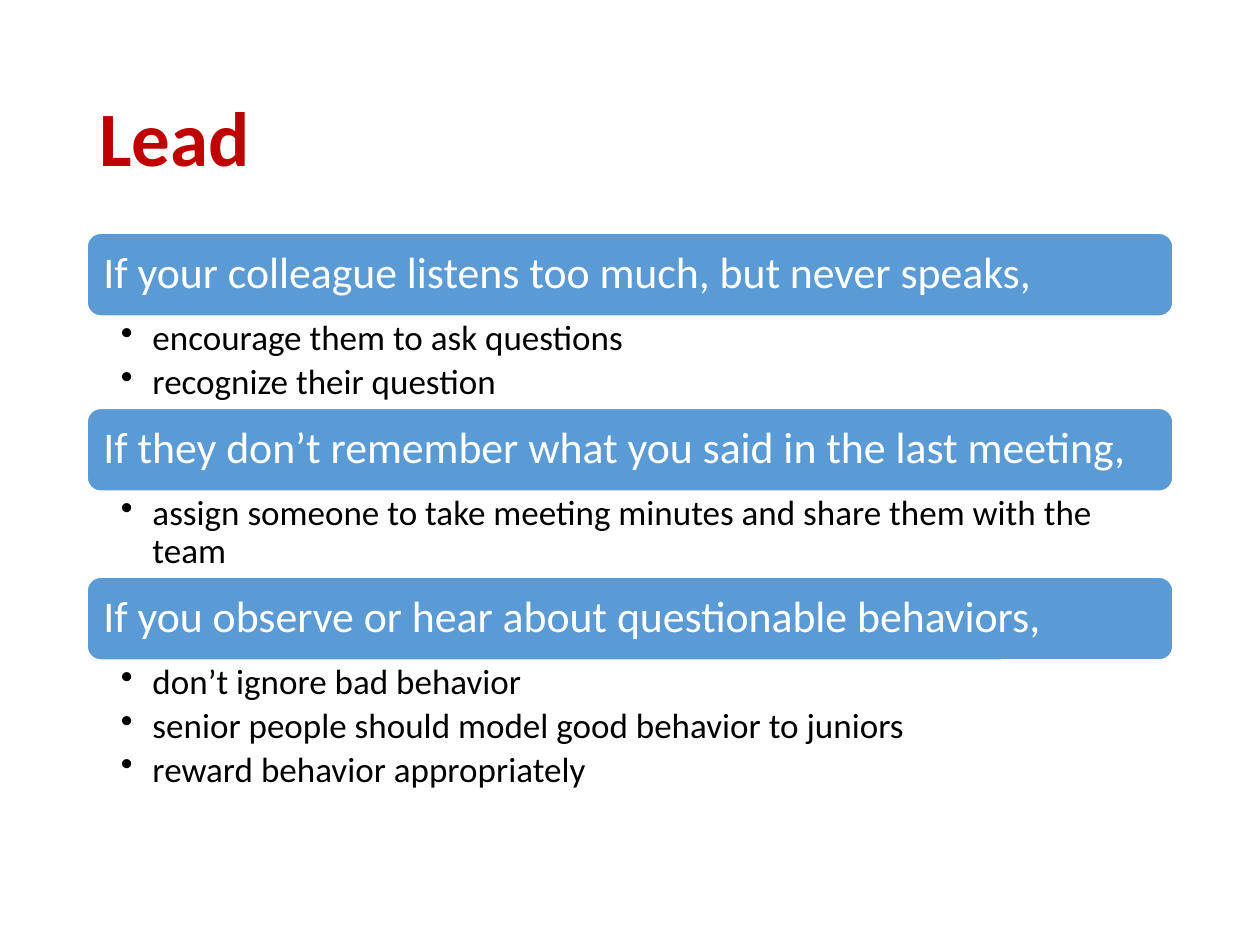
from dataclasses import dataclass

from lxml import etree
from pptx import Presentation
from pptx import util as u
from pptx.dml.color import RGBColor
from pptx.enum import shapes, text
from pptx.oxml import ns

PX = 9144  # EMU per px, 100 px to the inch
RED = RGBColor(0xC0, 0x00, 0x00)
BLUE = RGBColor(0x5B, 0x9B, 0xD5)
WHITE = RGBColor(0xFF, 0xFF, 0xFF)
BLACK = RGBColor(0x00, 0x00, 0x00)

LEFT, WIDTH = 69, 862
TOP, BAR = 185, 66


@dataclass
class Topic:
    head: str
    points: list[str]
    height: int  # of the list below the bar


TOPICS = [
    Topic("If your colleague listens too much, but never speaks,",
          ["encourage them to ask questions", "recognize their question"], 73),
    Topic("If they don’t remember what you said in the last meeting,",
          ["assign someone to take meeting minutes and share them with the team"], 68),
    Topic("If you observe or hear about questionable behaviors,",
          ["don’t ignore bad behavior",
           "senior people should model good behavior to juniors",
           "reward behavior appropriately"], 113),
]


def px(n: int) -> u.Emu:
    return u.Emu(n * PX)


def box(slide, top: int, height: int):
    return slide.shapes.add_textbox(px(LEFT), px(top), px(WIDTH), px(height))


def write(shape, lines: list[str], *, size: int, color: RGBColor, bold: bool = False,
          anchor=text.MSO_ANCHOR.MIDDLE, pad=(10, 5, 10, 5),
          after: float = 0, bullet: bool = False) -> None:
    """Fill a shape with one paragraph per line; pad is left, top, right, bottom."""
    frame = shape.text_frame
    frame.word_wrap = True
    frame.auto_size = text.MSO_AUTO_SIZE.NONE
    frame.vertical_anchor = anchor
    frame.margin_left, frame.margin_top, frame.margin_right, frame.margin_bottom = map(px, pad)
    for i, line in enumerate(lines):
        para = frame.add_paragraph() if i else frame.paragraphs[0]
        para.alignment = text.PP_ALIGN.LEFT
        para.line_spacing = 0.9
        para.space_after = u.Pt(after)
        run = para.add_run()
        run.text = line
        font = run.font
        font.name, font.size, font.bold = "Calibri", u.Pt(size), bold
        font.color.rgb = color
        if bullet:
            para.level = 1
            props = para._p.get_or_add_pPr()
            props.set("marL", str(px(25)))
            props.set("indent", str(px(-25)))
            etree.SubElement(props, ns.qn("a:buChar"), char="•")


def draw(slide, topic: Topic, top: int) -> None:
    # Heading bar
    bar = slide.shapes.add_shape(shapes.MSO_SHAPE.ROUNDED_RECTANGLE,
                                 px(LEFT), px(top), px(WIDTH), px(BAR))
    bar.shadow.inherit = False
    bar.fill.solid()
    bar.fill.fore_color.rgb = BLUE
    bar.line.color.rgb = WHITE
    bar.line.width = u.Pt(1)
    write(bar, [topic.head], size=25, color=WHITE)
    # Advice below it
    write(box(slide, top + BAR, topic.height), topic.points, size=20, color=BLACK,
          anchor=text.MSO_ANCHOR.TOP, pad=(27, 3, 16, 3), after=3.5, bullet=True)


def main() -> None:
    deck = Presentation()
    deck.slide_width, deck.slide_height = px(1000), px(750)
    slide = deck.slides.add_slide(deck.slide_layouts[6])

    # Title
    write(box(slide, 40, 145), ["Lead"], size=44, color=RED, bold=True)

    # Topics, stacked without gaps
    top = TOP
    for topic in TOPICS:
        draw(slide, topic, top)
        top += BAR + topic.height

    deck.save("out.pptx")


if __name__ == "__main__":
    main()
